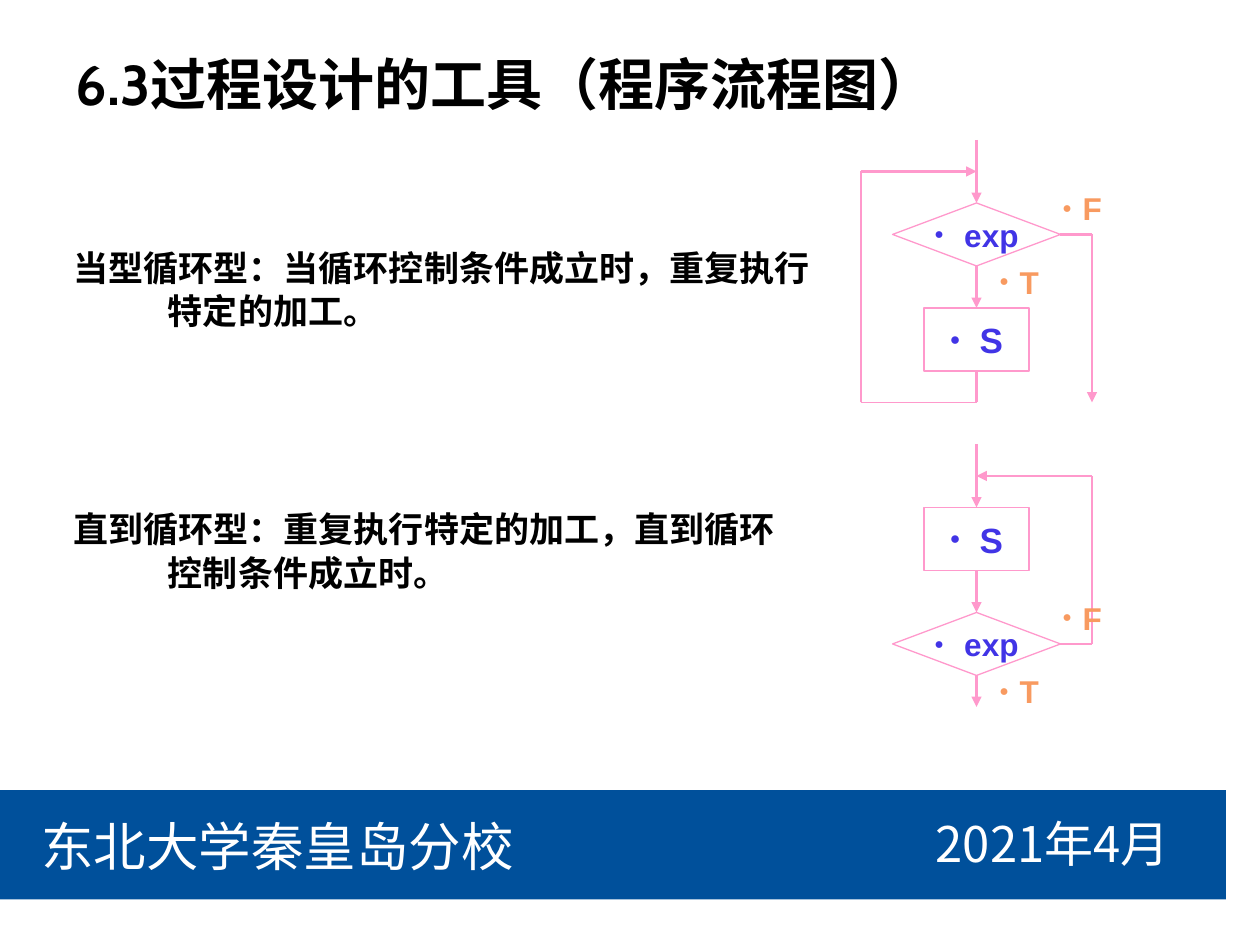
from pptx import Presentation
from pptx.util import Pt
from pptx.dml.color import RGBColor
from pptx.enum import shapes, text
from lxml import etree
from pptx.oxml import ns

COLORS = {"bar": "00509B", "white": "FFFFFF", "ink": "000000",
          "flow": "FF99CC", "node": "4134E6", "branch": "F89A60"}
CJK = "Noto Sans CJK SC"


def style(paragraph, size, color, font=CJK, bold=False):
    for run in paragraph.runs:
        run.font.size, run.font.bold, run.font.name = Pt(size), bold, font
        run.font.color.rgb = RGBColor.from_string(COLORS[color])
        etree.SubElement(run.font._element, ns.qn("a:ea"), typeface=font)


def add_bullet(paragraph, hang):
    props = paragraph._p.get_or_add_pPr()
    props.set("marL", str(Pt(hang)))
    props.set("indent", str(-Pt(hang)))
    etree.SubElement(props, ns.qn("a:buSzPct"), val="50000")
    etree.SubElement(props, ns.qn("a:buFont"), typeface="Arial")
    etree.SubElement(props, ns.qn("a:buChar"), char="●")


prs = Presentation()
prs.slide_width, prs.slide_height = Pt(720), Pt(540)
slide = prs.slides.add_slide(prs.slide_layouts[5])

# Footer bar with school and date
bar = slide.shapes.add_shape(shapes.MSO_SHAPE.RECTANGLE, 0, Pt(451.5), Pt(700.5), Pt(62.5))
bar.shadow.inherit = False
bar.fill.solid()
bar.fill.fore_color.rgb = RGBColor.from_string(COLORS["bar"])
bar.line.fill.background()
for words, left, width, height, size, align in (
        ("东北大学秦皇岛分校", 16.5, 287.5, 44, 30, text.PP_ALIGN.LEFT),
        ("2021年4月", 517.5, 168, 37.5, 28, text.PP_ALIGN.CENTER)):
    footer = slide.shapes.add_textbox(Pt(left), Pt(461.5), Pt(width), Pt(height))
    footer.text_frame.word_wrap = True
    footer.text_frame.text = words
    footer.text_frame.paragraphs[0].alignment = align
    style(footer.text_frame.paragraphs[0], size, "white")

# Title
title = slide.shapes.title
title.left, title.top, title.width, title.height = Pt(36), Pt(21.5), Pt(656), Pt(52)
title.text_frame.vertical_anchor = text.MSO_ANCHOR.MIDDLE
heading = title.text_frame.paragraphs[0]
heading.alignment = text.PP_ALIGN.LEFT
heading.add_run().text = "6.3"
heading.add_run().text = "过程设计的工具（程序流程图）"
style(heading, 32, "ink", bold=True)
heading.runs[0].font.name = "Cabin"

# Loop definitions, second line indented
for top, lines in ((140, ("当型循环型：当循环控制条件成立时，重复执行", "特定的加工。")),
                   (289.5, ("直到循环型：重复执行特定的加工，直到循环", "控制条件成立时。"))):
    definition = slide.shapes.add_textbox(Pt(42), Pt(top), Pt(440), Pt(60))
    frame = definition.text_frame
    frame.word_wrap = True
    frame.margin_left = frame.margin_right = frame.margin_top = frame.margin_bottom = 0
    frame.text = "\n".join(lines)
    frame.paragraphs[1]._p.get_or_add_pPr().set("marL", str(Pt(54)))
    for paragraph in frame.paragraphs:
        paragraph.line_spacing = 1.03
        style(paragraph, 20, "ink", bold=True)

# Flowcharts: x positions shared by both
BACK, MID, RIGHT, EXIT = 492, 558, 606, 624
NODE_HEIGHT = 36
KINDS = {"exp": (shapes.MSO_SHAPE.FLOWCHART_DECISION, 96, 18),
         "S": (shapes.MSO_SHAPE.RECTANGLE, 60, 20)}
# Each chart: node tops, then lines as (x1, y1, x2, y2, width, arrow at the end)
charts = (
    ({"exp": 116, "S": 176}, (
        (MID, 80, MID, 116, 1.5, True),
        (MID, 152, MID, 176, 1.5, True),
        (MID, 212, MID, 230, 1.5, False),
        (MID, 230, BACK, 230, 0.75, False),
        (BACK, 230, BACK, 98, 0.75, False),
        (BACK, 98, MID, 98, 1.5, True),
        (RIGHT, 134, EXIT, 134, 1.5, False),
        (EXIT, 134, EXIT, 230, 1.5, True))),
    ({"exp": 350, "S": 290}, (
        (MID, 254, MID, 290, 1.5, True),
        (MID, 326, MID, 350, 1.5, True),
        (MID, 386, MID, 404, 1.5, True),
        (RIGHT, 368, EXIT, 368, 1.5, False),
        (EXIT, 368, EXIT, 272, 1.5, False),
        (EXIT, 272, MID, 272, 1.5, True))),
)
for node_tops, flows in charts:
    chart = slide.shapes.add_group_shape().shapes

    # Nodes, with the points where lines can join them
    sites = {}
    for word, top in node_tops.items():
        kind, width, size = KINDS[word]
        node = chart.add_shape(kind, Pt(MID - width / 2), Pt(top), Pt(width), Pt(NODE_HEIGHT))
        node.shadow.inherit = False
        node.fill.solid()
        node.fill.fore_color.rgb = RGBColor.from_string(COLORS["white"])
        node.line.color.rgb = RGBColor.from_string(COLORS["flow"])
        node.line.width = Pt(0.75)
        node.text_frame.word_wrap = False
        node.text_frame.vertical_anchor = text.MSO_ANCHOR.MIDDLE
        node.text_frame.text = word
        label = node.text_frame.paragraphs[0]
        label.alignment = text.PP_ALIGN.CENTER
        add_bullet(label, 17)
        style(label, size, "node", "Arial", True)
        sites[MID, top] = node, 0
        sites[MID, top + NODE_HEIGHT] = node, 2
        sites[MID + width / 2, top + NODE_HEIGHT / 2] = node, 3

    # Flow lines
    for x1, y1, x2, y2, width, arrow in flows:
        flow = chart.add_connector(shapes.MSO_CONNECTOR.STRAIGHT, Pt(x1), Pt(y1), Pt(x2), Pt(y2))
        if (x1, y1) in sites:
            flow.begin_connect(*sites[x1, y1])
        if (x2, y2) in sites:
            flow.end_connect(*sites[x2, y2])
        flow.line.color.rgb = RGBColor.from_string(COLORS["flow"])
        flow.line.width = Pt(width)
        if arrow:
            etree.SubElement(flow.line._get_or_add_ln(), ns.qn("a:tailEnd"), type="triangle")
        etree.SubElement(flow._element.spPr, ns.qn("a:effectLst"))

    # Branch labels beside the decision
    for word, left, drop in (("F", 600, -11.5), ("T", 564, 30.5)):
        branch = chart.add_textbox(Pt(left), Pt(node_tops["exp"] + drop), Pt(30), Pt(29))
        branch.text_frame.word_wrap = False
        branch.text_frame.margin_right = 0
        branch.text_frame.text = word
        add_bullet(branch.text_frame.paragraphs[0], 11.5)
        style(branch.text_frame.paragraphs[0], 18, "branch", "Arial", True)

prs.save("out.pptx")
